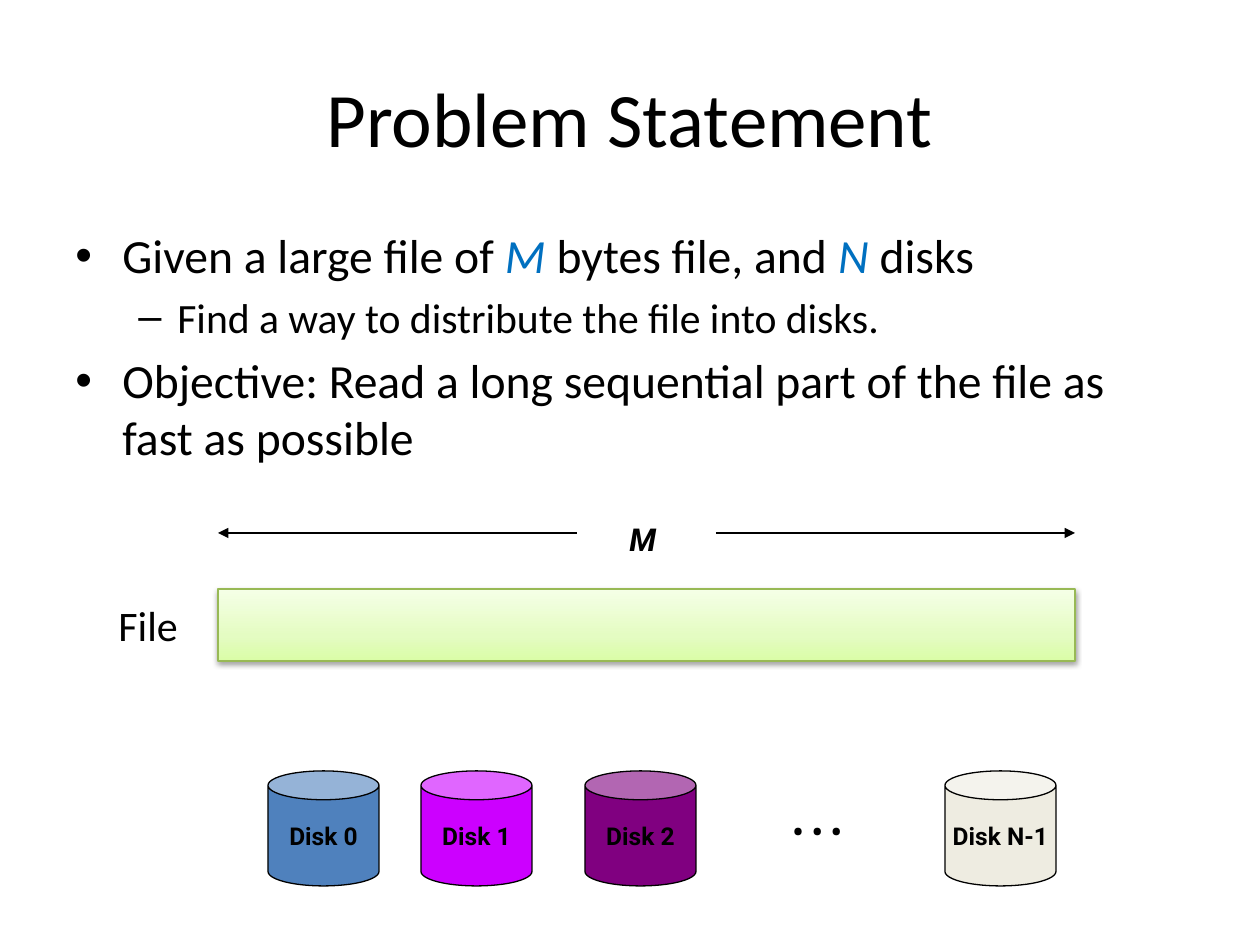
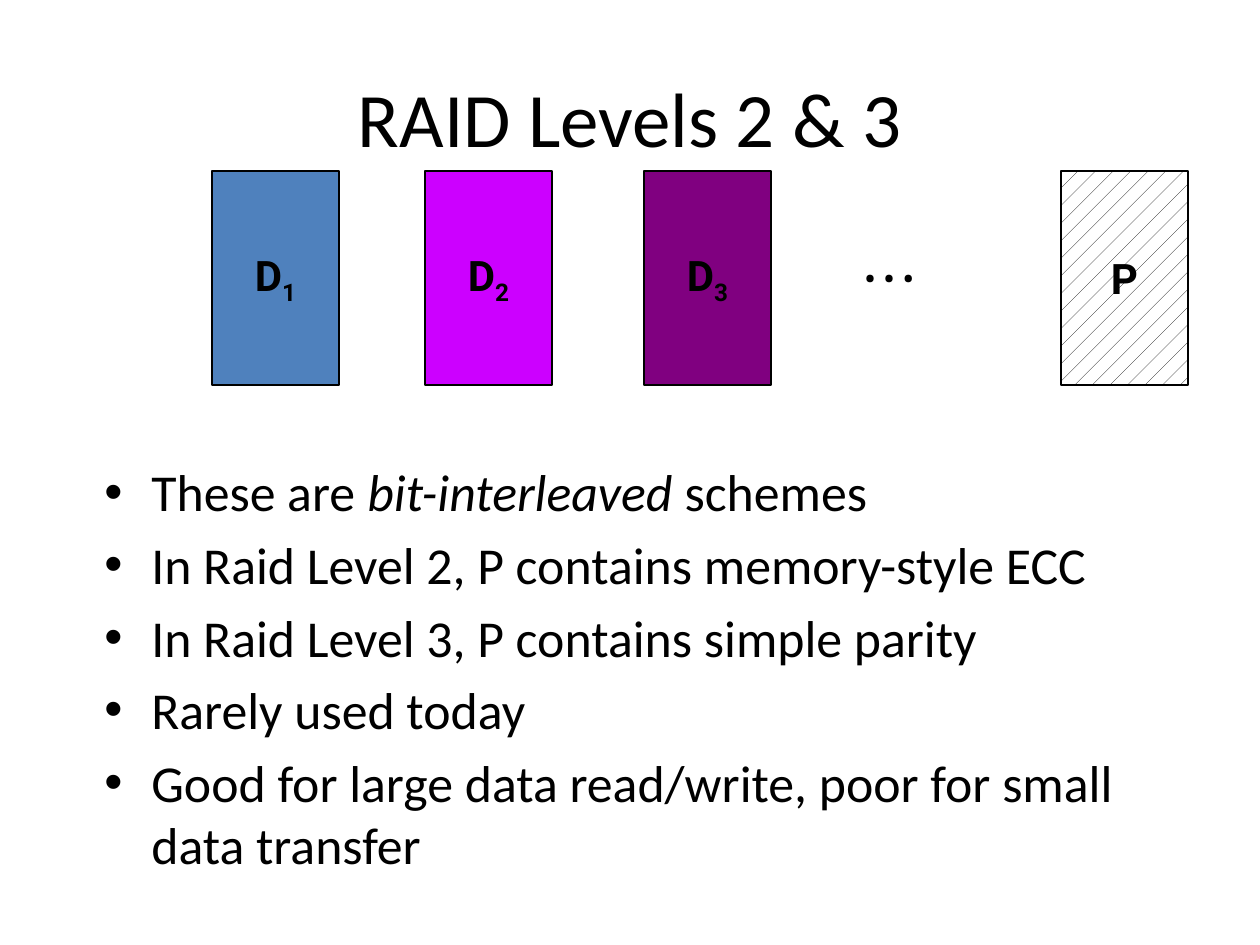
from pptx import Presentation
from pptx.dml.color import RGBColor
from pptx.enum.dml import MSO_PATTERN
from pptx.enum.shapes import MSO_CONNECTOR, MSO_SHAPE
from pptx.enum.text import MSO_ANCHOR, PP_ALIGN
from pptx.oxml import parse_xml
from pptx.oxml.ns import nsdecls, qn
from pptx.util import Emu, Pt
from lxml.etree import SubElement

DPI = 126
BLACK, WHITE, BLUE = "000000", "FFFFFF", "0070C0"
FILLS = ["4F81BD", "CC00FF", "800080"]
BODY, LABEL = "Calibri", "Roboto"
FILE_X, FILE_W = 218, 857


def px(n):
    return Emu(round(n * 914400 / DPI))


def color(code):
    return RGBColor.from_string(code)


def style(par, size, name, bold=None, italic=None):
    font = par.font
    font.size, font.name = Pt(size), name
    font.bold, font.italic = bold, italic
    font.color.rgb = color(BLACK)


def write(par, parts):
    for part in parts:
        text, kind = (part, "") if isinstance(part, str) else part
        run = par.add_run()
        run.text = text
        if kind in ("em", "var"):
            run.font.italic = True
        if kind == "var":
            run.font.color.rgb = color(BLUE)
        if kind == "sub":
            run.font._element.set("baseline", "-25000")


def add_page(deck, text):
    page = deck.slides.add_slide(deck.slide_layouts[5])
    title = page.shapes.title
    title.left, title.top, title.width, title.height = map(px, (63, 38, 1134, 157))
    frame = title.text_frame
    frame.text = text
    frame.vertical_anchor = MSO_ANCHOR.MIDDLE
    par = frame.paragraphs[0]
    par.alignment = PP_ALIGN.CENTER
    style(par, 44, BODY)
    return page


def add_text(page, box, text, size, name, wrap=True, **look):
    frame = page.shapes.add_textbox(*map(px, box)).text_frame
    frame.word_wrap = wrap
    par = frame.paragraphs[0]
    write(par, [text])
    style(par, size, name, **look)


def add_dots(page, x, y):
    add_text(page, (x, y, 77, 50), "• • •", 18, LABEL, wrap=False, bold=True)


def add_list(page, box, items):
    frame = page.shapes.add_textbox(*map(px, box)).text_frame
    frame.word_wrap = True
    for i, (level, size, parts) in enumerate(items):
        par = frame.add_paragraph() if i else frame.paragraphs[0]
        write(par, parts)
        mark, left, hang = [("•", 47, 47), ("–", 102, 39)][level]
        par.level = level
        props = par._p.get_or_add_pPr()
        props.set("marL", str(px(left)))
        props.set("indent", str(-px(hang)))
        SubElement(props, qn("a:buFont")).set("typeface", "Arial")
        SubElement(props, qn("a:buChar")).set("char", mark)
        par.space_before = Pt(size * 0.2)
        style(par, size, BODY)


def add_block(page, kind, box):
    shape = page.shapes.add_shape(kind, *map(px, box))
    shape.shadow.inherit = False
    shape.line.color.rgb = color(BLACK)
    shape.line.width = Pt(0.75)
    return shape


def add_label(shape, parts, size):
    frame = shape.text_frame
    frame.word_wrap = False
    frame.vertical_anchor = MSO_ANCHOR.MIDDLE
    par = frame.paragraphs[0]
    par.alignment = PP_ALIGN.CENTER
    write(par, parts)
    style(par, size, LABEL, bold=True)


def add_disk(page, x, text, fill):
    disk = add_block(page, MSO_SHAPE.CAN, (x, 771, 111, 115))
    disk.adjustments[0] = 0.26
    disk.fill.solid()
    disk.fill.fore_color.rgb = color(fill)
    add_label(disk, [text], 14)


def add_drive(page, x, parts, fill=None):
    drive = add_block(page, MSO_SHAPE.RECTANGLE, (x, 171, 127, 214))
    if fill:
        drive.fill.solid()
        drive.fill.fore_color.rgb = color(fill)
    else:
        drive.fill.patterned()
        drive.fill.pattern = MSO_PATTERN.PERCENT_5
        drive.fill.fore_color.rgb = color(BLACK)
        drive.fill.back_color.rgb = color(WHITE)
    add_label(drive, parts, 24)


def add_file(page):
    bar = add_block(page, MSO_SHAPE.RECTANGLE, (FILE_X, 589, FILE_W, 72))
    bar.line.color.rgb = color("98B955")
    stops = "".join(
        f'<a:gs pos="{at * 1000}"><a:srgbClr val="{code}"/></a:gs>'
        for at, code in [(0, "DAFDA7"), (35, "E4FCC2"), (100, "F5FFE7")])
    props = bar._element.spPr
    props.find(qn("a:prstGeom")).addnext(parse_xml(
        f'<a:gradFill {nsdecls("a")} rotWithShape="1"><a:gsLst>{stops}</a:gsLst>'
        '<a:lin ang="16200000" scaled="0"/></a:gradFill>'))
    props.find(qn("a:effectLst")).append(parse_xml(
        f'<a:outerShdw {nsdecls("a")} blurRad="40000" dist="20000" dir="5400000" '
        'rotWithShape="0"><a:srgbClr val="000000"><a:alpha val="38000"/>'
        '</a:srgbClr></a:outerShdw>'))


def add_arrow(page, start, end, y):
    line = page.shapes.add_connector(
        MSO_CONNECTOR.STRAIGHT, *map(px, (start, y, end, y)))
    line.line.color.rgb = color(BLACK)
    line.line.width = Pt(0.75)
    SubElement(line.line._get_or_add_ln(), qn("a:tailEnd")).set("type", "triangle")
    SubElement(line._element.spPr, qn("a:effectLst"))


def add_problem(deck):
    page = add_page(deck, "Problem Statement")
    add_list(page, (63, 220, 1134, 229), [
        (0, 27.2, ["Given a large file of ", ("M", "var"), " bytes file, and ",
                   ("N", "var"), " disks"]),
        (1, 23.8, ["Find a way to distribute the file into disks."]),
        (0, 27.2, ["Objective: Read a long sequential part of the file as "
                   "fast as possible"]),
    ])
    names = ["Disk 0", "Disk 1", "Disk 2", "Disk N-1"]
    for x, name, fill in zip((268, 421, 585, 945), names, FILLS + ["EEECE1"]):
        add_disk(page, x, name, fill)
    add_dots(page, 780, 806)
    add_file(page)
    add_text(page, (106, 593, 112, 63), "File", 24, BODY)
    add_text(page, (617, 514, 58, 50), "M", 18, LABEL, bold=True, italic=True)
    add_arrow(page, 577, FILE_X, 533)
    add_arrow(page, 716, FILE_X + FILE_W, 533)


def add_raid(deck):
    page = add_page(deck, "RAID Levels 2 & 3")
    lines = [
        ["These are ", ("bit-interleaved", "em"), " schemes"],
        ["In Raid Level 2, P contains memory-style ECC"],
        ["In Raid Level 3, P contains simple parity"],
        ["Rarely used today"],
        ["Good for large data read/write, poor for small data transfer"],
    ]
    add_list(page, (92, 454, 1071, 435), [(0, 29.6, line) for line in lines])
    for i, (x, fill) in enumerate(zip((212, 425, 644), FILLS), 1):
        add_drive(page, x, ["D", (str(i), "sub")], fill)
    add_drive(page, 1061, ["P"])
    add_dots(page, 852, 253)


def main():
    deck = Presentation()
    deck.slide_width, deck.slide_height = px(1260), px(945)
    add_problem(deck)
    add_raid(deck)
    deck.save("out.pptx")


if __name__ == "__main__":
    main()
